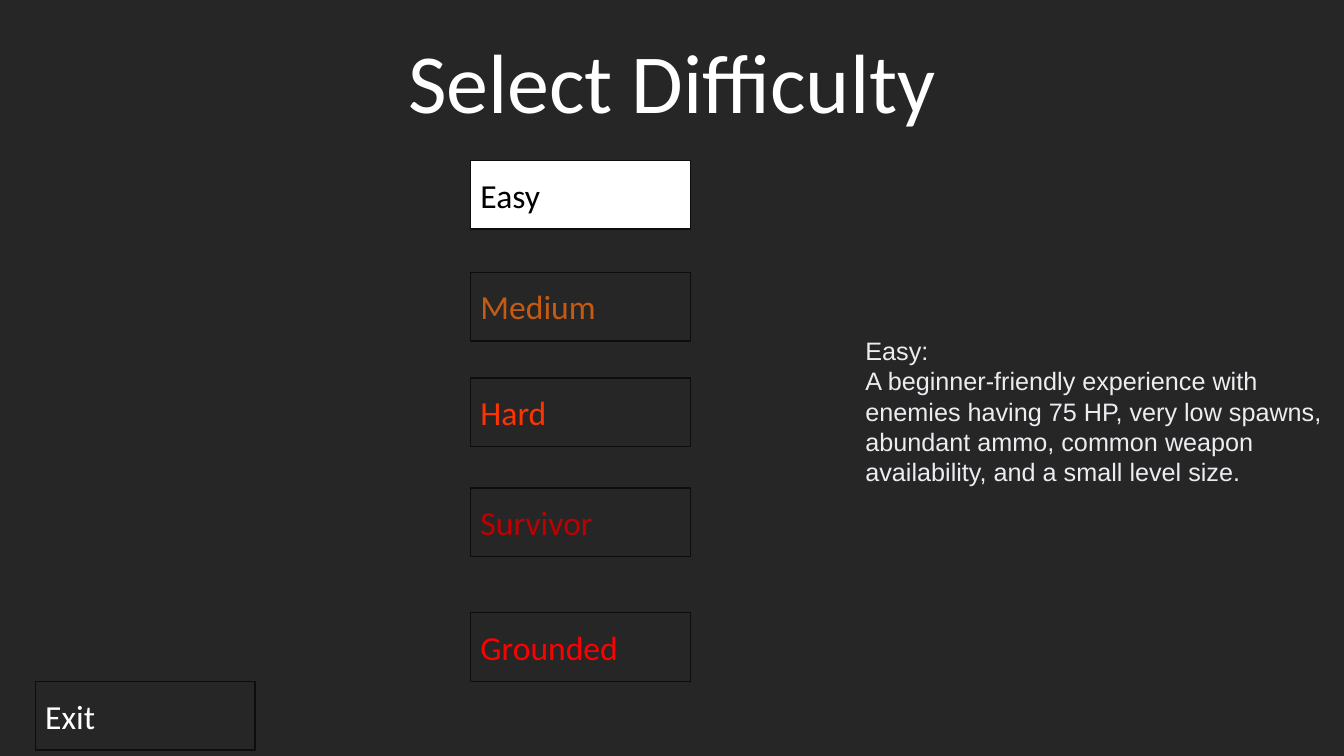
from dataclasses import dataclass

from pptx import Presentation
from pptx import util as u
from pptx.dml import color
from pptx.enum import shapes, text

WIDTH, HEIGHT = 33.87, 19.05


@dataclass(frozen=True)
class Theme:
    """Colours, fonts and type sizes of the slide."""
    dark: str = "262626"
    border: str = "0D0D0D"
    white: str = "FFFFFF"
    black: str = "000000"
    pale: str = "ECECF1"
    orange: str = "C55A11"
    vermilion: str = "FF3300"
    crimson: str = "C00000"
    red: str = "FF0000"
    menu_font: str = "Calibri"
    body_font: str = "Arial"
    title_size: int = 60
    button_size: int = 24
    body_size: int = 18


class MenuSlide:
    """Draws menu elements on one slide, with lengths in centimetres."""

    def __init__(self, slide, theme):
        """Keep the slide and its theme."""
        self.s = slide
        self.theme = theme

    def panel(self, left, top, width, height, fill, line):
        """Add a filled rectangle with a thin border."""
        sp = self.s.shapes.add_shape(
            shapes.MSO_SHAPE.RECTANGLE,
            u.Cm(left), u.Cm(top), u.Cm(width), u.Cm(height))
        sp.shadow.inherit = False
        sp.fill.solid()
        sp.fill.fore_color.rgb = color.RGBColor.from_string(fill)
        sp.line.color.rgb = color.RGBColor.from_string(line)
        sp.line.width = u.Pt(1)
        return sp

    def set_text(self, tf, lines, size, ink, font, align=text.PP_ALIGN.LEFT):
        """Fill a text frame with one paragraph per line."""
        tf.word_wrap = True
        tf.text = "\n".join(lines)
        for p in tf.paragraphs:
            p.alignment = align
            p.font.name = font
            p.font.size = u.Pt(size)
            p.font.color.rgb = color.RGBColor.from_string(ink)

    def button(self, label, left, top, ink, fill=None):
        """Add a menu button with its label centred vertically."""
        t = self.theme
        sp = self.panel(left, top, 5.54, 1.73, fill or t.dark, t.border)
        sp.text_frame.vertical_anchor = text.MSO_ANCHOR.MIDDLE
        self.set_text(sp.text_frame, [label], t.button_size, ink, t.menu_font)

    def text_box(self, lines, left, top, width, height, **style):
        """Add a wrapping text box that grows with its text."""
        sp = self.s.shapes.add_textbox(
            u.Cm(left), u.Cm(top), u.Cm(width), u.Cm(height))
        sp.text_frame.auto_size = text.MSO_AUTO_SIZE.SHAPE_TO_FIT_TEXT
        self.set_text(sp.text_frame, lines, **style)


def main():
    """Build and save the difficulty menu."""
    prs = Presentation()
    prs.slide_width, prs.slide_height = u.Cm(WIDTH), u.Cm(HEIGHT)
    t = Theme()
    menu = MenuSlide(prs.slides.add_slide(prs.slide_layouts[6]), t)

    menu.panel(0, 0, WIDTH, HEIGHT, t.dark, t.dark)
    levels = [
        ("Easy", 4.04, t.black, t.white),
        ("Medium", 6.86, t.orange, t.dark),
        ("Hard", 9.53, t.vermilion, t.dark),
        ("Survivor", 12.3, t.crimson, t.dark),
        ("Grounded", 15.44, t.red, t.dark),
    ]
    for label, top, ink, fill in levels:
        menu.button(label, 11.86, top, ink, fill)

    menu.text_box(["Select Difficulty"], 0, 0.61, WIDTH, 2.82,
                  size=t.title_size, ink=t.white, font=t.menu_font,
                  align=text.PP_ALIGN.CENTER)
    menu.button("Exit", 0.89, 17.17, t.white)
    menu.text_box(
        ["Easy:",
         "A beginner-friendly experience with enemies having 75 HP, "
         "very low spawns, abundant ammo, common weapon availability, "
         "and a small level size."],
        21.56, 8.33, 12.32, 4.11,
        size=t.body_size, ink=t.pale, font=t.body_font)
    prs.save("out.pptx")


main()
